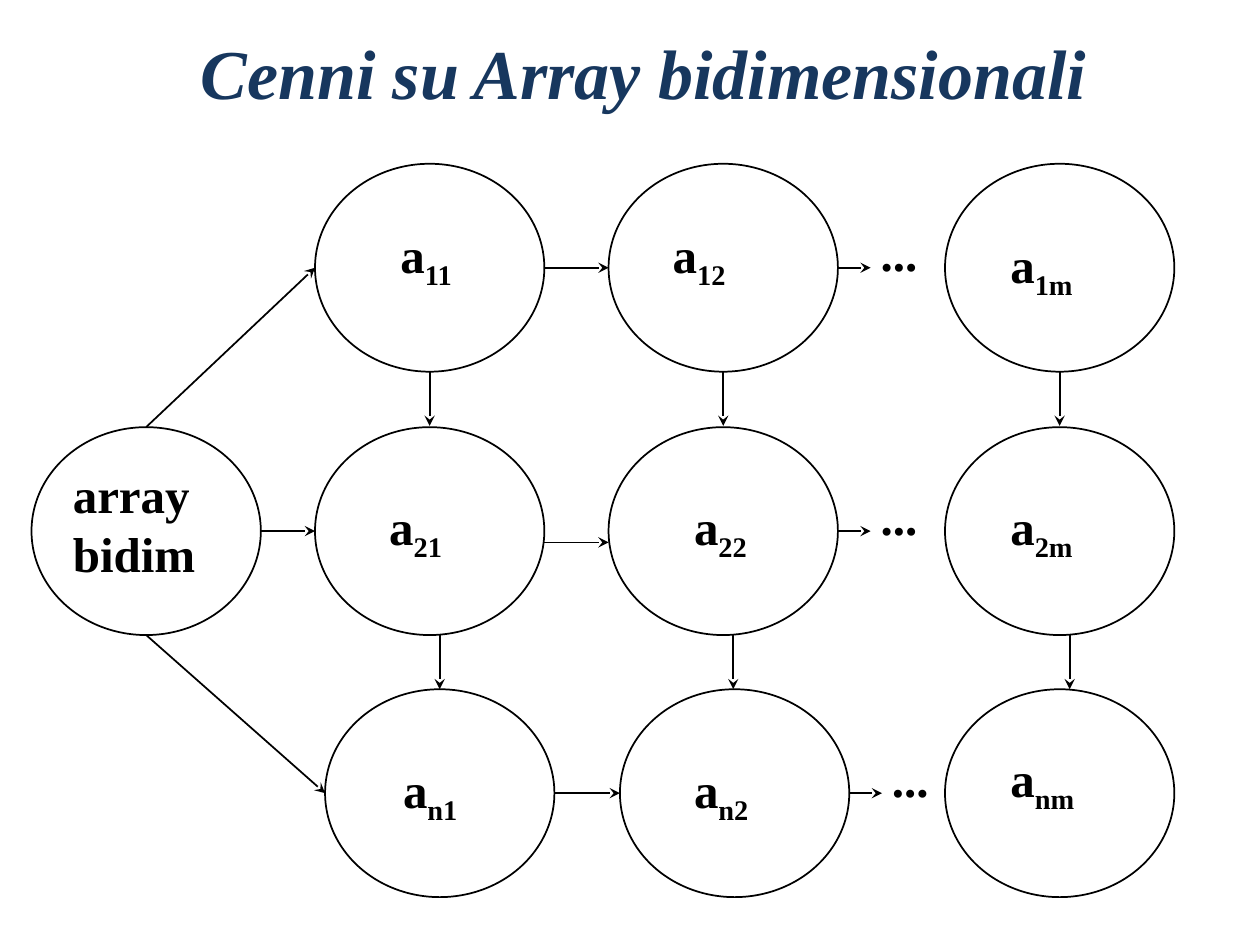
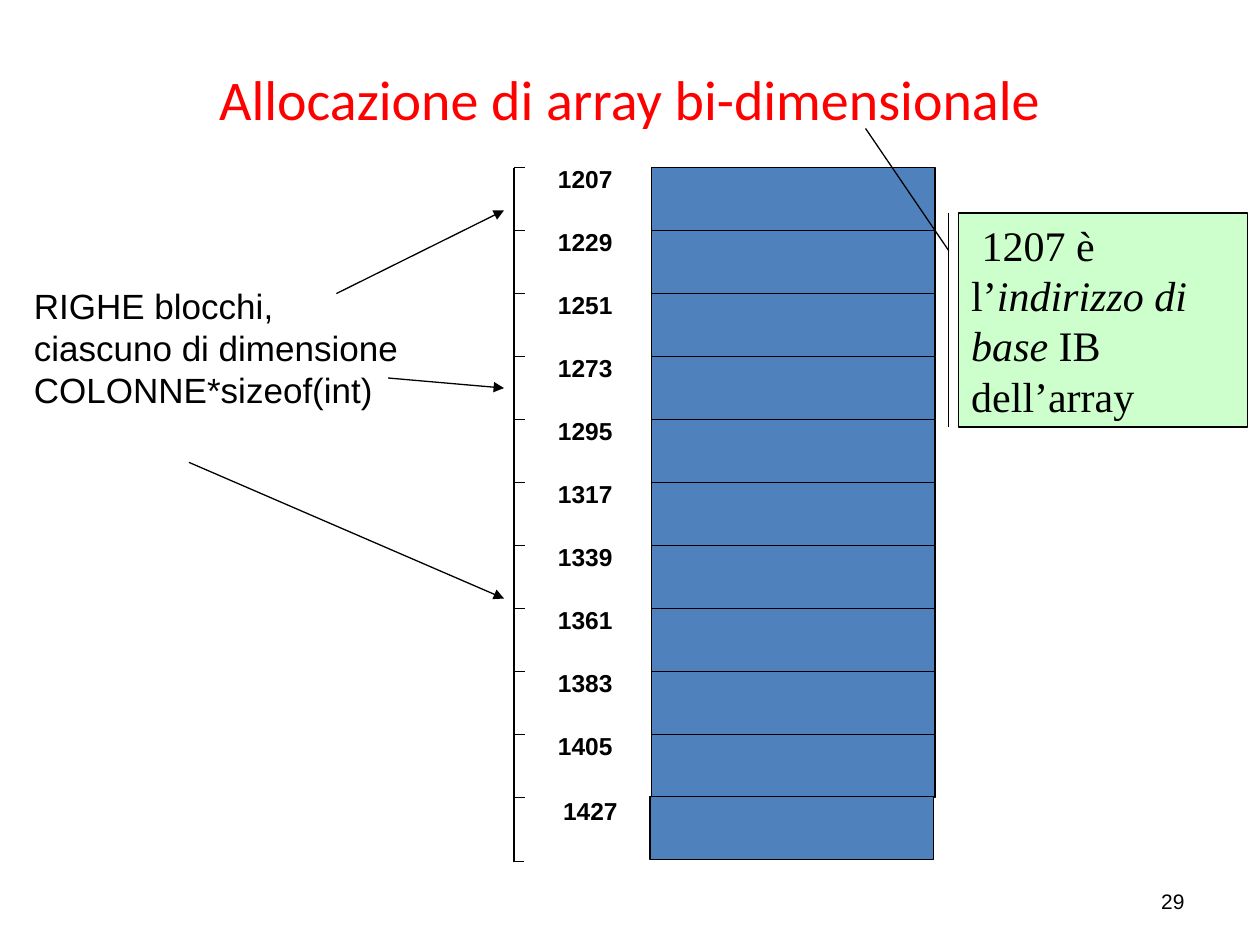
from lxml import etree
from pptx import Presentation
from pptx.dml.color import RGBColor
from pptx.enum.shapes import MSO_CONNECTOR, MSO_SHAPE
from pptx.enum.text import MSO_ANCHOR, MSO_AUTO_SIZE, PP_ALIGN
from pptx.oxml.ns import qn
from pptx.util import Inches, Pt

BLACK = RGBColor(0x00, 0x00, 0x00)
NAVY = RGBColor(0x17, 0x37, 0x5E)
RED = RGBColor(0xFF, 0x00, 0x00)
BLUE = RGBColor(0x4F, 0x81, 0xBD)
MINT = RGBColor(0xCC, 0xFF, 0xCC)

STRAIGHT = MSO_CONNECTOR.STRAIGHT
OVAL, RECTANGLE = MSO_SHAPE.OVAL, MSO_SHAPE.RECTANGLE
TOP, MIDDLE = MSO_ANCHOR.TOP, MSO_ANCHOR.MIDDLE
LEFT, CENTER, RIGHT = PP_ALIGN.LEFT, PP_ALIGN.CENTER, PP_ALIGN.RIGHT
FIT_SHAPE = MSO_AUTO_SIZE.SHAPE_TO_FIT_TEXT

NODE_FONT = {"name": "Times New Roman", "size": Pt(28), "bold": True}
ARRAY_TITLE_FONT = {"name": "Times New Roman", "size": Pt(40), "bold": True, "italic": True}
MEMORY_TITLE_FONT = {"name": "Calibri", "size": Pt(32)}
NOTE_FONT = {"name": "Arial", "size": Pt(20)}
ADDRESS_FONT = {"name": "Arial", "size": Pt(14), "bold": True}
NUMBER_FONT = {"name": "Arial", "size": Pt(12)}
CALLOUT_FONT = {"name": "Times New Roman", "size": Pt(24)}

NODE_W, NODE_H = 1.82, 1.65
LABEL_W, LABEL_H = 0.75, 0.63
ROW_GAP = 0.43
GRID_ROWS = [
    {"lefts": (2.5, 4.83, 7.5), "top": 1.3, "first_drop": 0, "down_shift": 0,
     "labels": (("11", 0.58, 0.43), ("12", 0.41, 0.43), ("1m", 0.42, 0.51))},
    {"lefts": (2.5, 4.83, 7.5), "top": 3.39, "first_drop": 0.09, "down_shift": 0.08,
     "labels": (("21", 0.49, 0.5), ("22", 0.58, 0.5), ("2m", 0.42, 0.5))},
    {"lefts": (2.58, 4.92, 7.5), "top": 5.47, "first_drop": 0, "down_shift": None,
     "labels": (("n1", 0.52, 0.51), ("n2", 0.49, 0.51), ("nm", 0.42, 0.42))},
]

FIRST_ADDRESS, ADDRESS_STEP, BLOCK_COUNT = 1207, 22, 11
BLOCK_W, BLOCK_H = 2.25, 0.5


def inches(*lengths):
    return [Inches(length) for length in lengths]


def write_run(paragraph, text, font, color=BLACK, **changes):
    run = paragraph.add_run()
    run.text = text
    for key, value in {**font, **changes}.items():
        setattr(run.font, key, value)
    run.font.color.rgb = color
    return run


def add_text(slide, box, lines, font, color=BLACK, align=LEFT, anchor=TOP, wrap=True, fit=False):
    frame = slide.shapes.add_textbox(*inches(*box)).text_frame
    frame.word_wrap = wrap
    frame.vertical_anchor = anchor
    if fit:
        frame.auto_size = FIT_SHAPE
    for index, line in enumerate(lines):
        paragraph = frame.add_paragraph() if index else frame.paragraphs[0]
        paragraph.alignment = align
        write_run(paragraph, line, font, color)
    return frame


def add_title(slide, box, text, font, color):
    add_text(slide, box, [text], font, color, CENTER, MIDDLE)


def add_outline(slide, kind, box, weight, fill=None):
    shape = slide.shapes.add_shape(kind, *inches(*box))
    shape.shadow.inherit = False
    if fill is None:
        shape.fill.background()
    else:
        shape.fill.solid()
        shape.fill.fore_color.rgb = fill
    shape.line.color.rgb = BLACK
    shape.line.width = Pt(weight)
    return shape


def add_line(slide, start, end, weight=0.75, head=None):
    line = slide.shapes.add_connector(STRAIGHT, *inches(*start, *end))
    line.line.color.rgb = BLACK
    line.line.width = Pt(weight)
    if head:
        etree.SubElement(line.line._get_or_add_ln(), qn("a:tailEnd"), type=head)
    etree.SubElement(line._element.spPr, qn("a:effectLst"))


def add_link(slide, start, end):
    add_line(slide, start, end, 1, "stealth")


def add_root(slide, left, top):
    add_outline(slide, OVAL, (left, top, NODE_W, NODE_H), 1)
    add_text(slide, (left + 0.23, top + 0.25, 1.17, 1.04), ["array", "bidim"],
             NODE_FONT, wrap=False, fit=True)
    center, middle = left + NODE_W / 2, top + NODE_H / 2
    starts = [(center, top), (left + NODE_W, middle), (center, top + NODE_H)]
    for start, row in zip(starts, GRID_ROWS):
        add_link(slide, start, (row["lefts"][0], row["top"] + NODE_H / 2))


def add_node(slide, left, top, label):
    subscript, dx, dy = label
    add_outline(slide, OVAL, (left, top, NODE_W, NODE_H), 1)
    frame = add_text(slide, (left + dx, top + dy, LABEL_W, LABEL_H), ["a"],
                     NODE_FONT, wrap=False, fit=True)
    index = write_run(frame.paragraphs[0], subscript, NODE_FONT)
    index.font._element.set("baseline", "-25000")


def add_grid_row(slide, lefts, top, first_drop, down_shift, labels):
    middle = top + NODE_H / 2
    for left, label in zip(lefts, labels):
        add_node(slide, left, top, label)
        if down_shift is not None:
            x = left + NODE_W / 2 + down_shift
            add_link(slide, (x, top + NODE_H), (x, top + NODE_H + ROW_GAP))
    first, second, _ = lefts
    add_link(slide, (first + NODE_W, middle + first_drop), (second, middle + first_drop))
    add_link(slide, (second + NODE_W, middle), (second + 2.08, middle))
    add_text(slide, (second + 2.06, top + 0.42, 0.49, 0.57), ["..."],
             NODE_FONT, wrap=False, fit=True)


def add_memory(slide, left, top):
    for index in range(BLOCK_COUNT):
        y = top + index * BLOCK_H
        last = index == BLOCK_COUNT - 1
        label_x = left + (0.29 if last else 0.25)
        label_y = y - (0.06 if last else 0.08)
        nudge = 0.01 if last else 0
        add_text(slide, (label_x, label_y, 0.92, 0.34),
                 [str(FIRST_ADDRESS + index * ADDRESS_STEP)], ADDRESS_FONT, fit=True)
        add_outline(slide, RECTANGLE, (left + 1.09 - nudge, y - nudge, BLOCK_W, BLOCK_H), 0.75, BLUE)
        add_line(slide, (left, y), (left, y + BLOCK_H + nudge))
        add_line(slide, (left, y), (left + 0.09, y))
    bottom = top + BLOCK_COUNT * BLOCK_H + 0.01
    add_line(slide, (left, bottom), (left + 0.08, bottom))


def add_block_note(slide, left, top):
    add_text(slide, (left, top, 3.1, 1.1),
             ["RIGHE blocchi, ciascuno di dimensione COLONNE*sizeof(int)"], NOTE_FONT, fit=True)
    for start, end in (((2.5, 0.12), (3.83, -0.54)),
                       ((2.91, 0.79), (3.83, 0.87)),
                       ((1.33, 1.46), (3.83, 2.54))):
        add_line(slide, (left + start[0], top + start[1]),
                 (left + end[0], top + end[1]), head="triangle")


def add_base_callout(slide, left, top, width, height):
    callout = add_outline(slide, RECTANGLE, (left, top, width, height), 0.75, MINT)
    frame = callout.text_frame
    frame.word_wrap = True
    frame.vertical_anchor = TOP
    paragraph = frame.paragraphs[0]
    paragraph.alignment = LEFT
    for text, italic in ((" 1207 è l’", False), ("indirizzo di base", True),
                         (" IB dell’array", False)):
        write_run(paragraph, text, CALLOUT_FONT, italic=italic)
    bar = left - 0.08
    add_line(slide, (bar, top), (bar, top + height))
    add_line(slide, (left - 0.74, top - 0.67), (bar, top + 0.3))


def build_array_slide(slide):
    add_root(slide, 0.25, 3.39)
    for row in GRID_ROWS:
        add_grid_row(slide, **row)
    add_title(slide, (1.25, 0.15, 7.71, 0.83), "Cenni su Array bidimensionali",
              ARRAY_TITLE_FONT, NAVY)


def build_memory_slide(slide):
    add_text(slide, (7.17, 6.95, 2.33, 0.4), ["29"], NUMBER_FONT, align=RIGHT, anchor=MIDDLE)
    add_title(slide, (0.5, 0.3, 9, 0.95), "Allocazione di array bi-dimensionale",
              MEMORY_TITLE_FONT, RED)
    add_memory(slide, 4.08, 1.33)
    add_block_note(slide, 0.17, 2.21)
    add_base_callout(slide, 7.61, 1.69, 2.29, 1.7)


def main():
    deck = Presentation()
    deck.slide_width, deck.slide_height = inches(10, 7.5)
    for build in (build_array_slide, build_memory_slide):
        build(deck.slides.add_slide(deck.slide_layouts[6]))
    deck.save("out.pptx")


if __name__ == "__main__":
    main()
